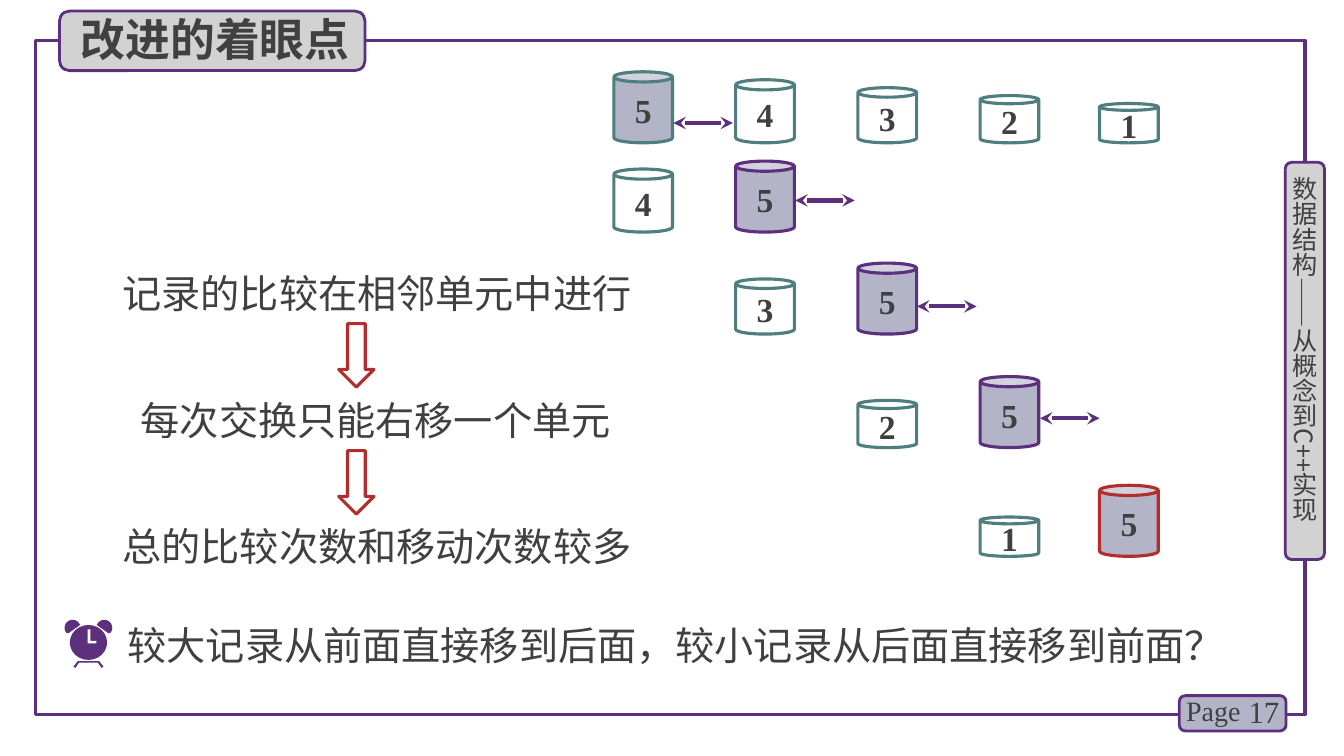
import math
from dataclasses import dataclass

import pptx
import pptx.dml.color
import pptx.enum.shapes
import pptx.enum.text
import pptx.util
from pptx.oxml.ns import qn
from pptx.util import Cm

Shape = pptx.enum.shapes.MSO_SHAPE
Align = pptx.enum.text.PP_ALIGN
Anchor = pptx.enum.text.MSO_ANCHOR

PURPLE, TEAL, RED = "5C307D", "507D7D", "B42D2D"
LILAC, GREY, INK, WHITE = "B4B4C8", "D2D2D2", "404040", "FFFFFF"
HAN, LATIN = "Noto Sans CJK SC", "Times New Roman"


@dataclass
class Area:
    left: float
    top: float
    width: float
    height: float

    def lengths(self) -> tuple:
        return Cm(self.left), Cm(self.top), Cm(self.width), Cm(self.height)


@dataclass
class Cylinder:
    value: int
    column: int
    line: str = TEAL


@dataclass
class Step:
    bottom: float
    cylinders: list[Cylinder]
    arrow: tuple[float, float] | None = None


def colour(code: str):
    return pptx.dml.color.RGBColor.from_string(code)


def paint(shape, fill: str | None, line: str | None, weight: float = 2.25) -> None:
    shape.shadow.inherit = False
    if fill:
        shape.fill.solid()
        shape.fill.fore_color.rgb = colour(fill)
    else:
        shape.fill.background()
    if line:
        shape.line.color.rgb = colour(line)
        shape.line.width = pptx.util.Pt(weight)
    else:
        shape.line.fill.background()


def add_shape(page, kind, area: Area, fill: str | None, line: str | None,
              weight: float = 2.25):
    shape = page.shapes.add_shape(kind, *area.lengths())
    paint(shape, fill, line, weight)
    return shape


def write(frame, text: str, size: float, face: str = HAN, bold: bool = False,
          align=Align.LEFT) -> None:
    para = frame.paragraphs[0]
    para.text = text
    para.alignment = align
    font = para.font
    font.size = pptx.util.Pt(size)
    font.bold = bold
    font.color.rgb = colour(INK)
    font.name = face
    east_asian = font._element.makeelement(qn("a:ea"), {"typeface": face})
    font._element.append(east_asian)


def add_text(page, area: Area, text: str, size: float, face: str = HAN,
             align=Align.LEFT):
    box = page.shapes.add_textbox(*area.lengths())
    box.text_frame.word_wrap = True
    write(box.text_frame, text, size, face, align=align)
    return box


def add_cylinder(page, cylinder: Cylinder, bottom: float) -> None:
    height = 0.99 + 0.2 * (cylinder.value - 1)
    area = Area(COLUMNS[cylinder.column], bottom - height, 1.48, height)
    fill = LILAC if cylinder.value == 5 else None
    shape = add_shape(page, Shape.CAN, area, fill, cylinder.line)
    shape.adjustments[0] = 0.173
    shape.text_frame.word_wrap = False
    shape.text_frame.vertical_anchor = Anchor.MIDDLE
    write(shape.text_frame, str(cylinder.value), 24, LATIN, True, Align.CENTER)


def add_swap_arrow(page, left: float, y: float) -> None:
    arrow = page.shapes.add_connector(
        pptx.enum.shapes.MSO_CONNECTOR.STRAIGHT,
        Cm(left), Cm(y), Cm(left + 1.5), Cm(y))
    arrow.line.color.rgb = colour(PURPLE)
    arrow.line.width = pptx.util.Pt(3)
    line = arrow.line._get_or_add_ln()
    for end in ("a:headEnd", "a:tailEnd"):
        line.append(line.makeelement(qn(end), {"type": "stealth"}))
    properties = arrow._element.spPr
    properties.append(properties.makeelement(qn("a:effectLst"), {}))


def add_outline(page, points: list[tuple[float, float]], fill: str) -> None:
    corners = [(Cm(x), Cm(y)) for x, y in points]
    builder = page.shapes.build_freeform(*corners[0], scale=1.0)
    builder.add_line_segments(corners[1:], close=True)
    paint(builder.convert_to_shape(), fill, None)


def add_clock(page) -> None:
    middle = 2.23
    add_outline(page, [(1.85, 16.8), (1.96, 16.66), (2.5, 16.66), (2.61, 16.8),
                       (2.56, 16.83), (2.47, 16.7), (1.99, 16.7), (1.9, 16.83)],
                PURPLE)
    angles = [math.radians(degrees) for degrees in range(140, 341, 10)]
    bell = [(1.83 + 0.2 * math.cos(a), 15.82 + 0.2 * math.sin(a)) for a in angles]
    bell.append((1.72, 15.96))
    add_outline(page, bell, PURPLE)
    add_outline(page, [(2 * middle - x, y) for x, y in bell], PURPLE)
    add_shape(page, Shape.OVAL, Area(1.76, 15.75, 0.94, 0.88), PURPLE, None)
    add_outline(page, [(2.21, 15.86), (2.28, 15.86), (2.28, 16.15),
                       (2.43, 16.15), (2.43, 16.21), (2.21, 16.21)], WHITE)


COLUMNS = [15.47, 18.54, 21.62, 24.7, 27.71]
STEPS = [
    Step(3.6, [Cylinder(5 - column, column) for column in range(5)], (16.97, 3.1)),
    Step(5.85, [Cylinder(4, 0), Cylinder(5, 1, PURPLE)], (20.04, 5.05)),
    Step(8.42, [Cylinder(3, 1), Cylinder(5, 2, PURPLE)], (23.11, 7.72)),
    Step(11.28, [Cylinder(2, 2), Cylinder(5, 3, PURPLE)], (26.21, 10.54)),
    Step(14.02, [Cylinder(1, 3), Cylinder(5, 4, RED)]),
]
STATEMENTS = [
    (Area(2.84, 6.65, 13.72, 1.45), "记录的比较在相邻单元中进行"),
    (Area(3.3, 9.86, 13.97, 1.45), "每次交换只能右移一个单元"),
    (Area(2.84, 13.03, 13.84, 1.45), "总的比较次数和移动次数较多"),
    (Area(2.97, 15.52, 28.63, 1.45),
     "较大记录从前面直接移到后面，较小记录从后面直接移到前面？"),
]


def main() -> None:
    deck = pptx.Presentation()
    deck.slide_width, deck.slide_height = Cm(33.87), Cm(19.05)
    page = deck.slides.add_slide(deck.slide_layouts[5])

    # Frame, page number and side label
    add_shape(page, Shape.RECTANGLE, Area(0.89, 1.02, 32, 16.99), None, PURPLE)
    add_shape(page, Shape.ROUNDED_RECTANGLE, Area(29.72, 17.53, 2.69, 0.89),
              LILAC, PURPLE, 2)
    number = add_text(page, Area(30.99, 17.42, 1.5, 1.02), "17", 22, LATIN, Align.RIGHT)
    number.text_frame.vertical_anchor = Anchor.MIDDLE
    add_text(page, Area(29.64, 17.35, 1.98, 1.12), "Page", 20, LATIN)
    add_shape(page, Shape.ROUNDED_RECTANGLE, Area(32.39, 4.09, 0.99, 10.01),
              GREY, PURPLE, 2)
    label = add_text(page, Area(32.49, 4.45, 0.76, 9.6), "数据结构——从概念到C++实现", 18)
    frame = label.text_frame
    frame.margin_left = frame.margin_right = frame.margin_top = frame.margin_bottom = 0
    frame._txBody.bodyPr.set("vert", "eaVert")

    # Title on its plate
    add_shape(page, Shape.ROUNDED_RECTANGLE, Area(1.5, 0.28, 7.7, 1.5),
              GREY, PURPLE, 2)
    title = page.shapes.title
    title.left, title.top, title.width, title.height = Area(1.78, 0.18, 7.59, 1.63).lengths()
    title.text_frame.auto_size = pptx.enum.text.MSO_AUTO_SIZE.NONE
    title.text_frame.vertical_anchor = Anchor.TOP
    write(title.text_frame, "改进的着眼点", 32, bold=True)
    page.shapes._spTree.append(title._element)

    # Sorting steps
    for step in STEPS:
        for cylinder in step.cylinders:
            add_cylinder(page, cylinder, step.bottom)
        if step.arrow:
            add_swap_arrow(page, *step.arrow)

    # Chain of statements and the closing question
    for area, text in STATEMENTS:
        add_text(page, area, text, 28)
    for top in (8.51, 11.71):
        arrow = add_shape(page, Shape.RIGHT_ARROW, Area(8.18, top, 1.6, 0.89), None, RED)
        arrow.rotation = 90
    add_clock(page)

    deck.save("out.pptx")


if __name__ == "__main__":
    main()
